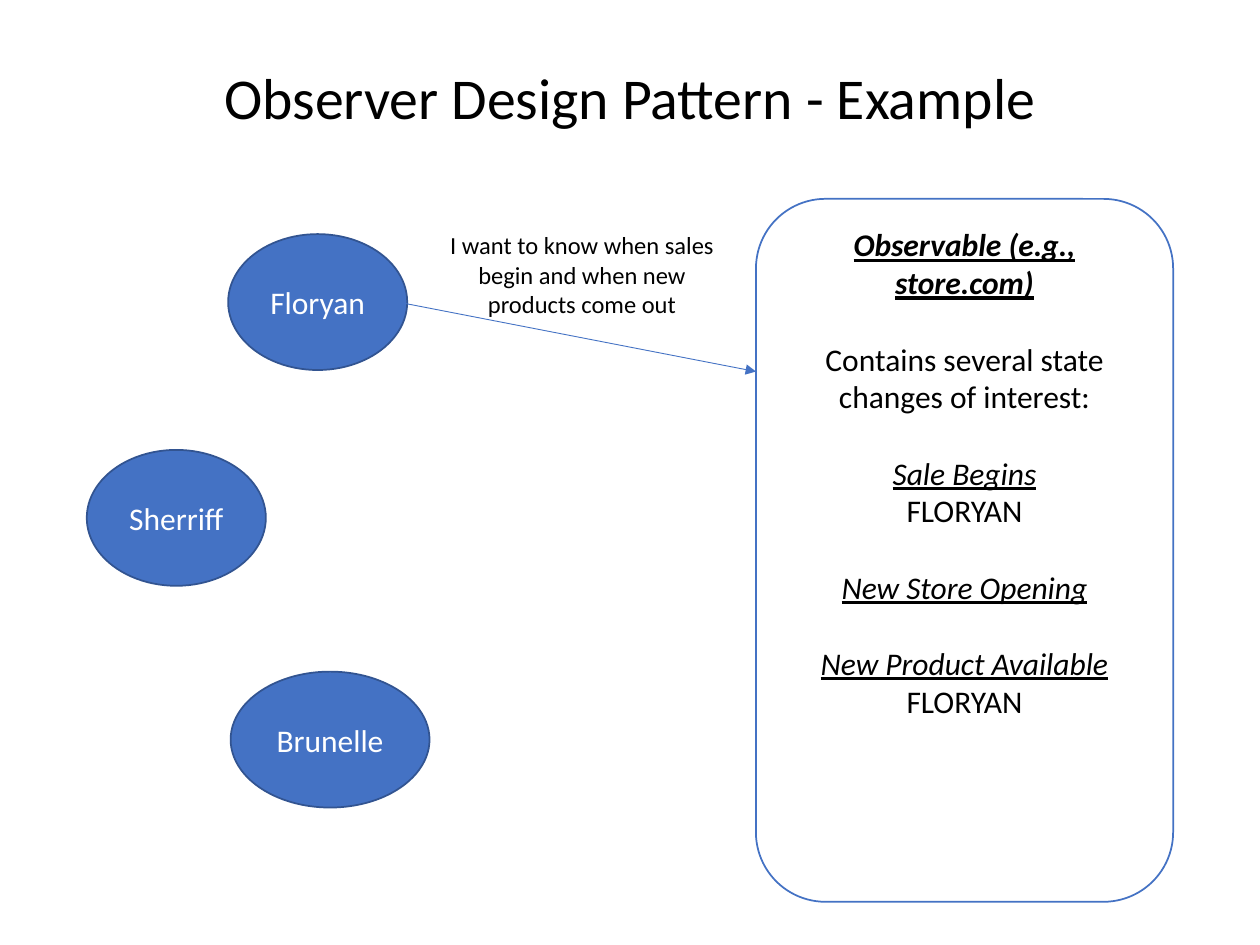
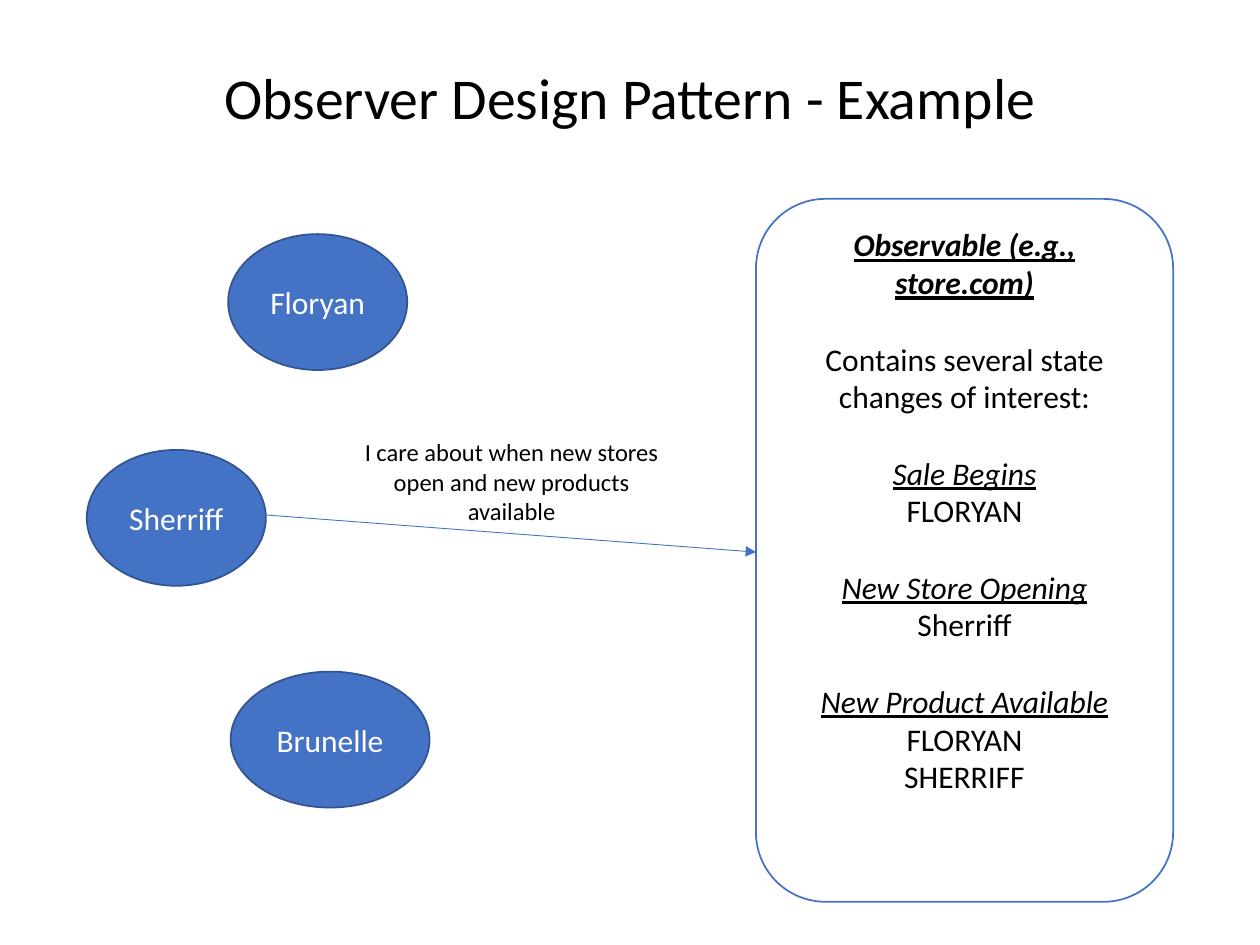
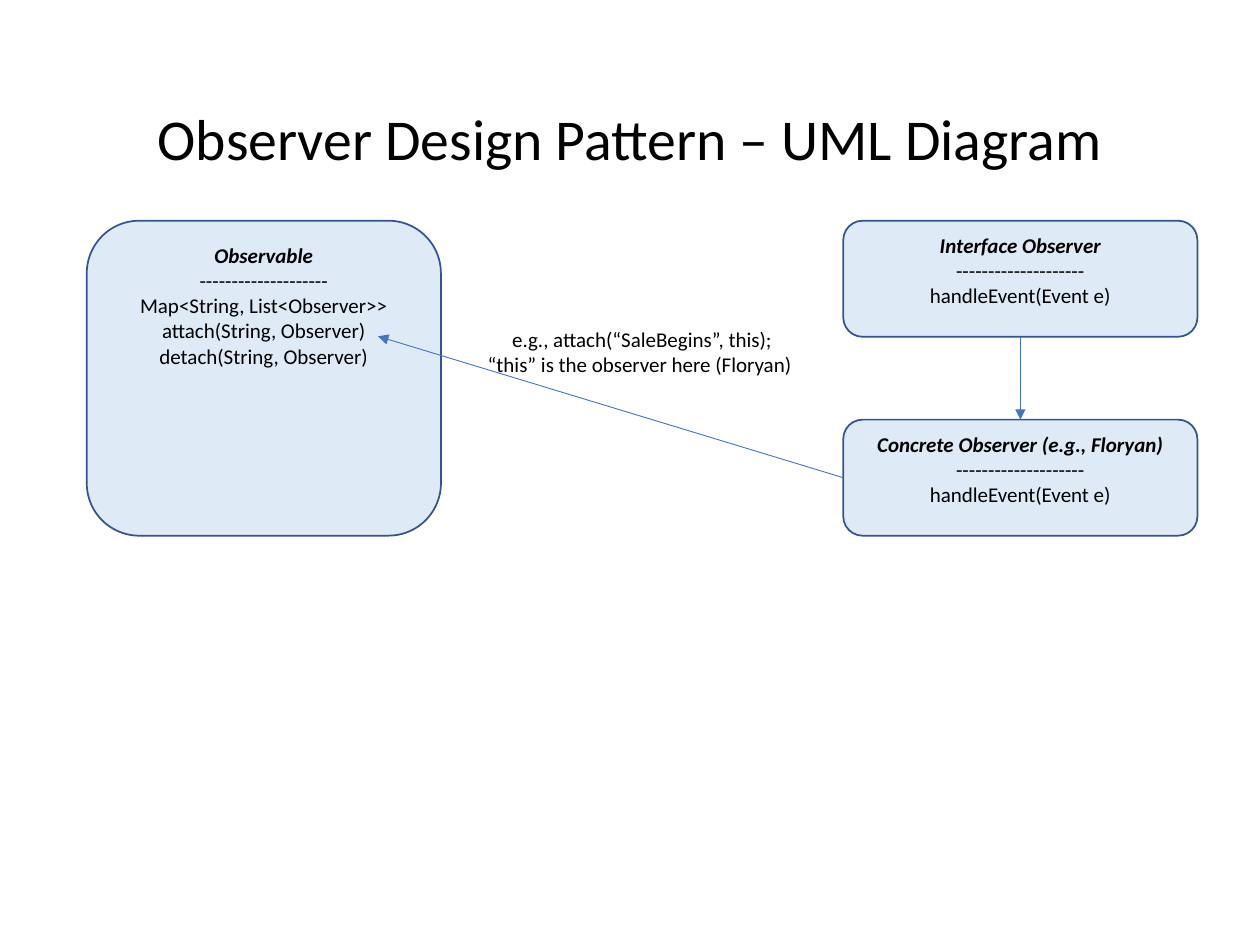
"""Build three slides that explain the observer design pattern."""
import pptx
import pptx.dml.color
import pptx.enum.shapes
import pptx.enum.text
import pptx.oxml.ns
import pptx.util
from lxml import etree

Cm = pptx.util.Cm
Pt = pptx.util.Pt
qn = pptx.oxml.ns.qn
SHAPES = pptx.enum.shapes.MSO_SHAPE
ANCHORS = pptx.enum.text.MSO_ANCHOR

COLORS = {
    "text": "000000",
    "light_text": "FFFFFF",
    "accent": "4472C4",
    "outline": "325491",
    "class_fill": "DEEBF7",
}
FONT = "Calibri"
BLANK_LAYOUT = 6
TOPIC_GAP = 22
DASHES = "-" * 20

OBSERVERS = [
    ("Floryan", (4.6, 4.72, 3.61, 2.74)),
    ("Sherriff", (1.75, 9.07, 3.61, 2.74)),
    ("Brunelle", (4.65, 13.54, 4.01, 2.74)),
]
SUBSCRIPTIONS = [
    {
        "request": "I want to know when sales begin and when new products come out",
        "note_at": (8.46, 4.52, 6.55, 2.06),
        "arrow": ((8.18, 6.12), (15.24, 7.49)),
        "topics": {
            "Sale Begins": ["FLORYAN"],
            "New Store Opening": [],
            "New Product Available": ["FLORYAN"],
        },
    },
    {
        "request": "I care about when new stores open and new products available",
        "note_at": (7.04, 8.69, 6.55, 2.06),
        "arrow": ((5.08, 10.36), (15.24, 11.13)),
        "topics": {
            "Sale Begins": ["FLORYAN"],
            "New Store Opening": ["Sherriff"],
            "New Product Available": ["FLORYAN", "SHERRIFF"],
        },
    },
]


def rgb(name):
    """Return the named colour."""
    return pptx.dml.color.RGBColor.from_string(COLORS[name])


class Deck:
    """Hold the style and the current slide."""

    def __init__(self):
        """Start an empty presentation."""
        self.presentation = pptx.Presentation()
        self.presentation.slide_width = Cm(25.4)
        self.presentation.slide_height = Cm(19.05)
        self.slide = None

    def add_slide(self, title, title_top):
        """Add a slide with its title."""
        layout = self.presentation.slide_layouts[BLANK_LAYOUT]
        self.slide = self.presentation.slides.add_slide(layout)
        shape = self.text((1.75, title_top, 21.9, 3.68), [(title, "", 0)], 33, ANCHORS.MIDDLE)
        shape.text_frame.paragraphs[0].line_spacing = 0.9

    def fill_text(self, shape, lines, size, color, anchor):
        """Set centred lines of (text, style letters, space before)."""
        frame = shape.text_frame
        frame.word_wrap = True
        frame.vertical_anchor = anchor
        for index, (text, style, gap) in enumerate(lines):
            paragraph = frame.add_paragraph() if index else frame.paragraphs[0]
            paragraph.alignment = pptx.enum.text.PP_ALIGN.CENTER
            paragraph.space_before = Pt(gap)
            run = paragraph.add_run()
            run.text = text
            run.font.name = FONT
            run.font.size = Pt(size)
            run.font.color.rgb = rgb(color)
            run.font.bold = "b" in style
            run.font.italic = "i" in style
            run.font.underline = "u" in style

    def text(self, box, lines, size, anchor=ANCHORS.TOP):
        """Add a text box."""
        shape = self.slide.shapes.add_textbox(*map(Cm, box))
        self.fill_text(shape, lines, size, "text", anchor)
        return shape

    def shape(self, kind, box, lines, size, fill=None, line="outline",
              color="text", anchor=ANCHORS.TOP):
        """Add a preset shape with text."""
        shape = self.slide.shapes.add_shape(kind, *map(Cm, box))
        shape.shadow.inherit = False
        if fill:
            shape.fill.solid()
            shape.fill.fore_color.rgb = rgb(fill)
        else:
            shape.fill.background()
        shape.line.color.rgb = rgb(line)
        shape.line.width = Pt(1)
        self.fill_text(shape, lines, size, color, anchor)
        return shape

    def observer(self, name, box):
        """Add an observer ellipse."""
        return self.shape(SHAPES.OVAL, box, [(name, "", 0)], 18, "accent",
                          color="light_text", anchor=ANCHORS.MIDDLE)

    def observable(self, topics):
        """Add the observable with its topics and subscribers."""
        lines = [
            ("Observable (e.g., store.com)", "biu", 0),
            ("Contains several state changes of interest:", "", TOPIC_GAP),
        ]
        for topic, subscribers in topics.items():
            lines.append((topic, "iu", TOPIC_GAP))
            lines += [(subscriber, "", 0) for subscriber in subscribers]
        return self.shape(SHAPES.ROUNDED_RECTANGLE, (15.24, 4.01, 8.41, 14.17),
                          lines, 18, line="accent")

    def uml_class(self, box, name, members):
        """Add a class box with a name above its members."""
        lines = [(name, "bi", 0)] + [(member, "", 0) for member in [DASHES] + members]
        return self.shape(SHAPES.ROUNDED_RECTANGLE, box, lines, 12, "class_fill")

    def arrow(self, start, end):
        """Add an arrow between points or (shape, side) joints."""
        connector = self.slide.shapes.add_connector(
            pptx.enum.shapes.MSO_CONNECTOR.STRAIGHT, 0, 0, 0, 0)
        if isinstance(start[0], (int, float)):
            connector.begin_x, connector.begin_y = map(Cm, start)
        else:
            connector.begin_connect(*start)
        if isinstance(end[0], (int, float)):
            connector.end_x, connector.end_y = map(Cm, end)
        else:
            connector.end_connect(*end)
        connector.line.color.rgb = rgb("accent")
        connector.line.width = Pt(0.5)
        properties = connector._element.spPr
        etree.SubElement(properties.find(qn("a:ln")), qn("a:tailEnd"), type="triangle")
        etree.SubElement(properties, qn("a:effectLst"))


def add_example(deck, subscription):
    """Add a slide where one observer subscribes."""
    deck.add_slide("Observer Design Pattern - Example", 0.2)
    deck.observable(subscription["topics"])
    for name, box in OBSERVERS:
        deck.observer(name, box)
    deck.arrow(*subscription["arrow"])
    deck.text(subscription["note_at"], [(subscription["request"], "", 0)], 14)


def add_uml(deck):
    """Add the class diagram slide."""
    deck.add_slide("Observer Design Pattern – UML Diagram", 1.02)
    deck.uml_class((1.75, 4.45, 7.14, 6.35), "Observable", [
        "Map<String, List<Observer>>",
        "attach(String, Observer)",
        "detach(String, Observer)",
    ])
    interface, concrete = [
        deck.uml_class((17, top, 7.14, 2.34), name, ["handleEvent(Event e)"])
        for top, name in [(4.45, "Interface Observer"),
                          (8.46, "Concrete Observer (e.g., Floryan)")]
    ]
    deck.arrow((interface, 2), (concrete, 0))
    deck.arrow((concrete, 1), (7.62, 6.78))
    deck.text((9.35, 6.45, 7.19, 1.27), [
        ("e.g., attach(“SaleBegins”, this);", "", 0),
        ("“this” is the observer here (Floryan) ", "", 0),
    ], 12)


def main():
    """Build and save the slides."""
    deck = Deck()
    for subscription in SUBSCRIPTIONS:
        add_example(deck, subscription)
    add_uml(deck)
    deck.presentation.save("out.pptx")


if __name__ == "__main__":
    main()
